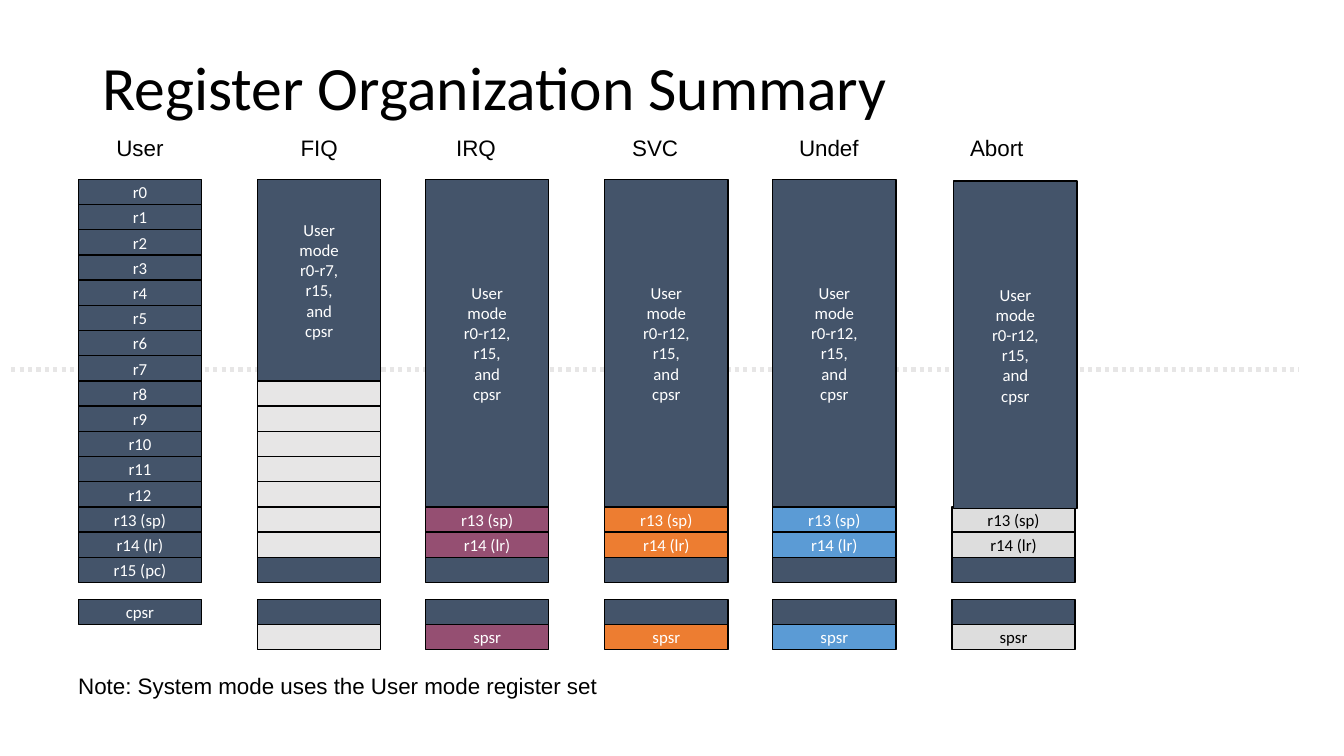
"""Build the register organization summary slide."""
from dataclasses import dataclass

from lxml import etree
from pptx import Presentation
from pptx.dml.color import RGBColor
from pptx.enum import dml, shapes, text
from pptx.oxml.ns import qn
from pptx.util import Pt

TITLE = "Register Organization Summary"
NOTE = "Note: System mode uses the User mode register set"
REGISTERS = [f"r{n}" for n in range(13)] + ["r13 (sp)", "r14 (lr)", "r15 (pc)"]
PC_ROW = 15


@dataclass(frozen=True)
class Theme:
    """Colours, fonts and type sizes."""
    ink: str = "000000"
    white: str = "FFFFFF"
    slate: str = "44546A"
    pale: str = "E7E6E6"
    plum: str = "954F72"
    orange: str = "ED7D31"
    blue: str = "5B9BD5"
    grey: str = "DDDDDD"
    body: str = "Calibri"
    label: str = "Arial"
    title_size: float = 44
    label_size: float = 16
    cell_size: float = 12


T = Theme()

# name, left, heading left, heading width
HEADINGS = [
    ("User", 56, 56, 88),
    ("FIQ", 184, 184, 88),
    ("IRQ", 304, 296, 88),
    ("SVC", 432, 424, 88),
    ("Undef", 552, 544, 96),
    ("Abort", 680, 664, 96),
]
# first banked row, fill, text colour (None leaves the rows blank), block offset
BANKS = {
    "FIQ": (8, T.pale, None, 0),
    "IRQ": (13, T.plum, T.white, 0),
    "SVC": (13, T.orange, T.white, 0),
    "Undef": (13, T.blue, T.white, 0),
    "Abort": (13, T.grey, T.ink, 1.3),
}

COL_W, ROW_H, TOP = 88, 18, 128.1
STATUS_TOP = TOP + 16 * ROW_H + 12
SPLIT_Y = 264


def rgb(code):
    """Turn a hex code into a colour."""
    return RGBColor.from_string(code)


def write(tf, content, size=T.cell_size, font=T.body, color=T.white,
          align=text.PP_ALIGN.CENTER, wrap=False, spacing=None):
    """Fill a text frame with one formatted paragraph."""
    tf.word_wrap = wrap
    tf.auto_size = text.MSO_AUTO_SIZE.NONE
    tf.vertical_anchor = text.MSO_ANCHOR.MIDDLE
    p = tf.paragraphs[0]
    p.text = content.replace("\n", "\v")
    p.alignment = align
    p.line_spacing = spacing
    for r in p.runs:
        r.font.size, r.font.name = Pt(size), font
        r.font.color.rgb = rgb(color)


def add_cell(s, x, y, content="", h=ROW_H, fill=T.slate, color=T.white):
    """Draw one register box."""
    sp = s.shapes.add_shape(shapes.MSO_SHAPE.RECTANGLE,
                            Pt(x), Pt(y), Pt(COL_W), Pt(h))
    sp.shadow.inherit = False
    sp.fill.solid()
    sp.fill.fore_color.rgb = rgb(fill)
    sp.line.color.rgb = rgb(T.ink)
    sp.line.width = Pt(1)
    if content and color:
        write(sp.text_frame, content, color=color)


def add_label(s, x, y, w, h, content, **fmt):
    """Draw a text box."""
    tf = s.shapes.add_textbox(Pt(x), Pt(y), Pt(w), Pt(h)).text_frame
    tf.margin_left = tf.margin_right = Pt(7.9)
    write(tf, content, size=T.label_size, font=T.label, color=T.ink,
          wrap=True, **fmt)


def add_split(s):
    """Draw the dotted line between low and high registers."""
    ln = s.shapes.add_connector(shapes.MSO_CONNECTOR.STRAIGHT,
                                Pt(8), Pt(SPLIT_Y), Pt(928), Pt(SPLIT_Y))
    ln.line.color.rgb = rgb(T.pale)
    ln.line.width = Pt(3)
    ln.line.dash_style = dml.MSO_LINE.ROUND_DOT
    etree.SubElement(ln._element.spPr, qn("a:effectLst"))


def add_user_column(s, x):
    """Draw the full user register set."""
    for row, name in enumerate(REGISTERS):
        add_cell(s, x, TOP + row * ROW_H, name)
    add_cell(s, x, STATUS_TOP, "cpsr")


def add_bank_column(s, x, first, fill, color, shift):
    """Draw the banked registers of one mode and the block it shares."""
    for row in range(first, PC_ROW):
        add_cell(s, x, TOP + row * ROW_H, REGISTERS[row], fill=fill, color=color)
    add_cell(s, x, TOP + PC_ROW * ROW_H)
    add_cell(s, x, STATUS_TOP)
    add_cell(s, x, STATUS_TOP + ROW_H, "spsr", fill=fill, color=color)
    shared = f"User\nmode\nr0-r{first - 1},\nr15,\nand\ncpsr"
    add_cell(s, x + shift, TOP + shift, shared, h=first * ROW_H)


def main():
    """Assemble and save the slide."""
    prs = Presentation()
    prs.slide_width, prs.slide_height = Pt(960), Pt(540)
    s = prs.slides.add_slide(prs.slide_layouts[5])
    title = s.shapes.title
    title.left, title.top = Pt(66), Pt(12.4)
    title.width, title.height = Pt(828), Pt(104.4)
    left = text.PP_ALIGN.LEFT
    write(title.text_frame, TITLE, size=T.title_size, color=T.ink,
          align=left, wrap=True, spacing=0.9)
    add_split(s)
    for name, x, head_x, head_w in HEADINGS:
        add_label(s, head_x, 92, head_w, 27, name)
        if name in BANKS:
            add_bank_column(s, x, *BANKS[name])
        else:
            add_user_column(s, x)
    add_label(s, 48, 476, 728, 27, NOTE, align=left)
    prs.save("out.pptx")


if __name__ == "__main__":
    main()
